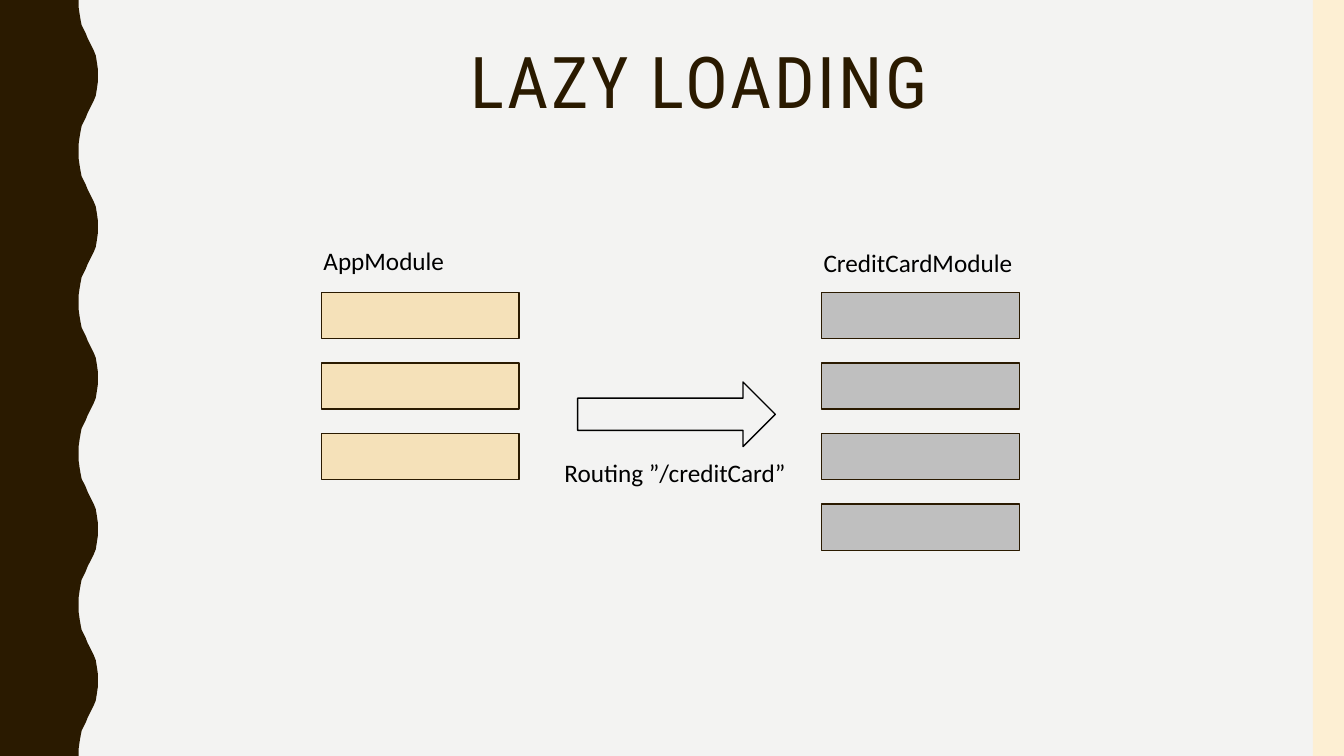
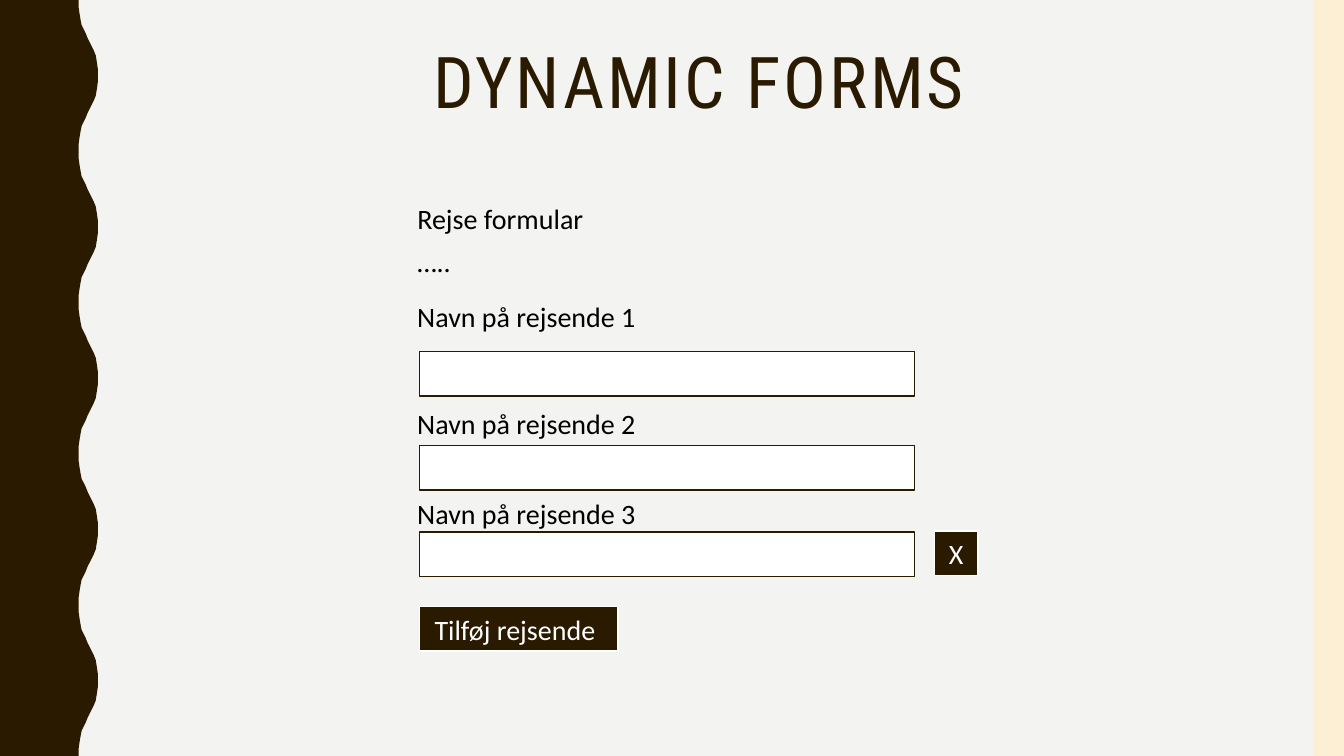
"""Build two slides on lazy loading and dynamic forms."""
from dataclasses import dataclass
from typing import Optional

from lxml.etree import SubElement
from pptx import Presentation
from pptx.dml.color import RGBColor
from pptx.enum.shapes import MSO_SHAPE as SHAPE
from pptx.enum.text import MSO_ANCHOR as ANCHOR, PP_ALIGN as ALIGN
from pptx.oxml.ns import qn
from pptx.util import Inches, Pt

WIDTH, HEIGHT = 13.33, 7.5
BROWN, CREAM, PAPER = "2A1A00", "FDEFD3", "F3F3F2"
AMBER, GREY, WHITE, BLACK = "F8C764", "BFBFBF", "FFFFFF", "000000"
BODY_FONT, TITLE_FONT = "Calibri", "Roboto Condensed"
WAVE_PERIOD = 1.5
HALF_WAVE = [
    (0.78, 0), (0.78, 0.07), (0.79, 0.14), (0.8, 0.2), (0.81, 0.25),
    (0.83, 0.29), (0.85, 0.33), (0.87, 0.38), (0.89, 0.42), (0.91, 0.46),
    (0.93, 0.5), (0.95, 0.55), (0.96, 0.61), (0.97, 0.68), (0.97, 0.75),
]


@dataclass(frozen=True)
class Box:
    left: float
    top: float
    width: float
    height: float

    def emu(self) -> tuple:
        return tuple(Inches(v) for v in (self.left, self.top, self.width, self.height))


@dataclass(frozen=True)
class Module:
    name: str
    left: float
    label_top: float
    rows: int
    fill: str
    alpha: Optional[int] = None


@dataclass(frozen=True)
class Field:
    label: str
    label_top: float
    input_top: float


@dataclass(frozen=True)
class Button:
    text: str
    box: Box
    inset: float


MODULES = [
    Module("AppModule", 3.19, 2.38, 3, AMBER, 40),
    Module("CreditCardModule", 8.15, 2.4, 4, GREY),
]
FIELDS = [
    Field("Navn på rejsende 1", 2.92, 3.49),
    Field("Navn på rejsende 2", 3.98, 4.42),
    Field("Navn på rejsende 3", 4.88, 5.28),
]
BUTTONS = [
    Button("Tilføj rejsende", Box(4.16, 6.02, 1.97, 0.44), 0.15),
    Button("X", Box(9.27, 5.27, 0.43, 0.44), 0.14),
]


def rgb(color: str) -> RGBColor:
    return RGBColor.from_string(color)


def paint(sp, fill: Optional[str], line: Optional[str] = None, alpha: Optional[int] = None) -> None:
    sp.shadow.inherit = False
    if fill:
        sp.fill.solid()
        sp.fill.fore_color.rgb = rgb(fill)
    else:
        sp.fill.background()
    if alpha is not None:
        clr = sp._element.spPr.find(qn("a:solidFill")).find(qn("a:srgbClr"))
        SubElement(clr, qn("a:alpha")).set("val", str(alpha * 1000))
    if line:
        sp.line.color.rgb = rgb(line)
        sp.line.width = Pt(1)
    else:
        sp.line.fill.background()


def add_block(s, box: Box, fill: Optional[str], line: Optional[str] = None,
              alpha: Optional[int] = None, kind: SHAPE = SHAPE.RECTANGLE):
    sp = s.shapes.add_shape(kind, *box.emu())
    paint(sp, fill, line, alpha)
    return sp


def write(tf, text: str, size: float, color: str = BLACK, font: str = BODY_FONT):
    tf.text = text
    p = tf.paragraphs[0]
    p.alignment = ALIGN.LEFT
    r = p.runs[0]
    r.font.size, r.font.name = Pt(size), font
    r.font.color.rgb = rgb(color)
    return p


def add_text(s, box: Box, text: str, size: float, color: str = BLACK, font: str = BODY_FONT):
    tf = s.shapes.add_textbox(*box.emu()).text_frame
    tf.word_wrap = True
    return write(tf, text, size, color, font)


def add_wave(s) -> None:
    mirrored = [(x, WAVE_PERIOD - y) for x, y in reversed(HALF_WAVE[:-1])]
    edge = [(x, y + i * WAVE_PERIOD)
            for i in range(round(HEIGHT / WAVE_PERIOD))
            for x, y in HALF_WAVE + mirrored]
    builder = s.shapes.build_freeform(0, 0)
    builder.add_line_segments([(Inches(x), Inches(y)) for x, y in edge + [(0, HEIGHT)]])
    paint(builder.convert_to_shape(), BROWN)


def add_slide(prs, title: str):
    s = prs.slides.add_slide(prs.slide_layouts[6])
    s.background.fill.solid()
    s.background.fill.fore_color.rgb = rgb(PAPER)
    add_wave(s)
    add_block(s, Box(13.02, 0, 0.31, HEIGHT), CREAM)
    p = add_text(s, Box(1.37, 0.42, 11.13, 1.63), title, 51, BROWN, TITLE_FONT)
    p.alignment, p.line_spacing = ALIGN.CENTER, 0.9
    p.runs[0]._r.get_or_add_rPr().set("spc", "200")
    return s


def add_module(s, module: Module) -> None:
    add_text(s, Box(module.left - 0.08, module.label_top, 2.16, 0.4), module.name, 18)
    for i in range(module.rows):
        add_block(s, Box(module.left, 2.9 + i * 0.7, 1.96, 0.46), module.fill, BROWN, module.alpha)


def add_field(s, field: Field) -> None:
    add_block(s, Box(4.16, field.input_top, 4.91, 0.44), WHITE, BROWN)
    add_text(s, Box(4.04, field.label_top, 3.14, 0.44), field.label, 20)


def add_button(s, button: Button) -> None:
    tf = add_block(s, button.box, BROWN, WHITE).text_frame
    tf.word_wrap = False
    tf.vertical_anchor = ANCHOR.MIDDLE
    tf.margin_left, tf.margin_right = Inches(button.inset), 0
    write(tf, button.text, 20, WHITE)


def lazy_loading(prs) -> None:
    s = add_slide(prs, "LAZY LOADING")
    for module in MODULES:
        add_module(s, module)
    add_block(s, Box(5.73, 3.79, 1.96, 0.64), None, BLACK, kind=SHAPE.RIGHT_ARROW)
    add_text(s, Box(5.5, 4.49, 2.66, 0.4), "Routing ”/creditCard”", 18)


def dynamic_forms(prs) -> None:
    s = add_slide(prs, "DYNAMIC FORMS")
    add_text(s, Box(4.04, 1.95, 2.35, 0.44), "Rejse formular", 20)
    add_text(s, Box(4.04, 2.38, 2.35, 0.44), "…..", 20)
    for field in FIELDS:
        add_field(s, field)
    for button in BUTTONS:
        add_button(s, button)


def main() -> None:
    prs = Presentation()
    prs.slide_width, prs.slide_height = Inches(WIDTH), Inches(HEIGHT)
    lazy_loading(prs)
    dynamic_forms(prs)
    prs.save("out.pptx")


if __name__ == "__main__":
    main()
